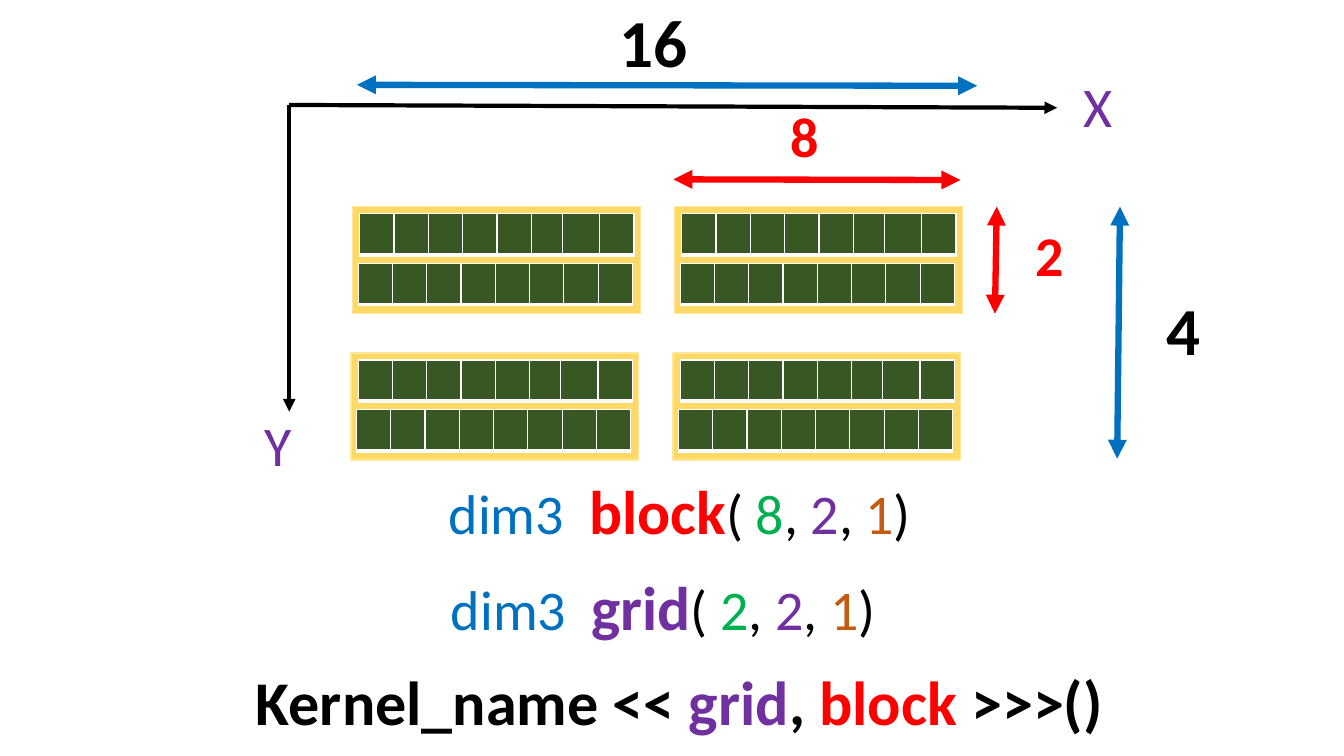
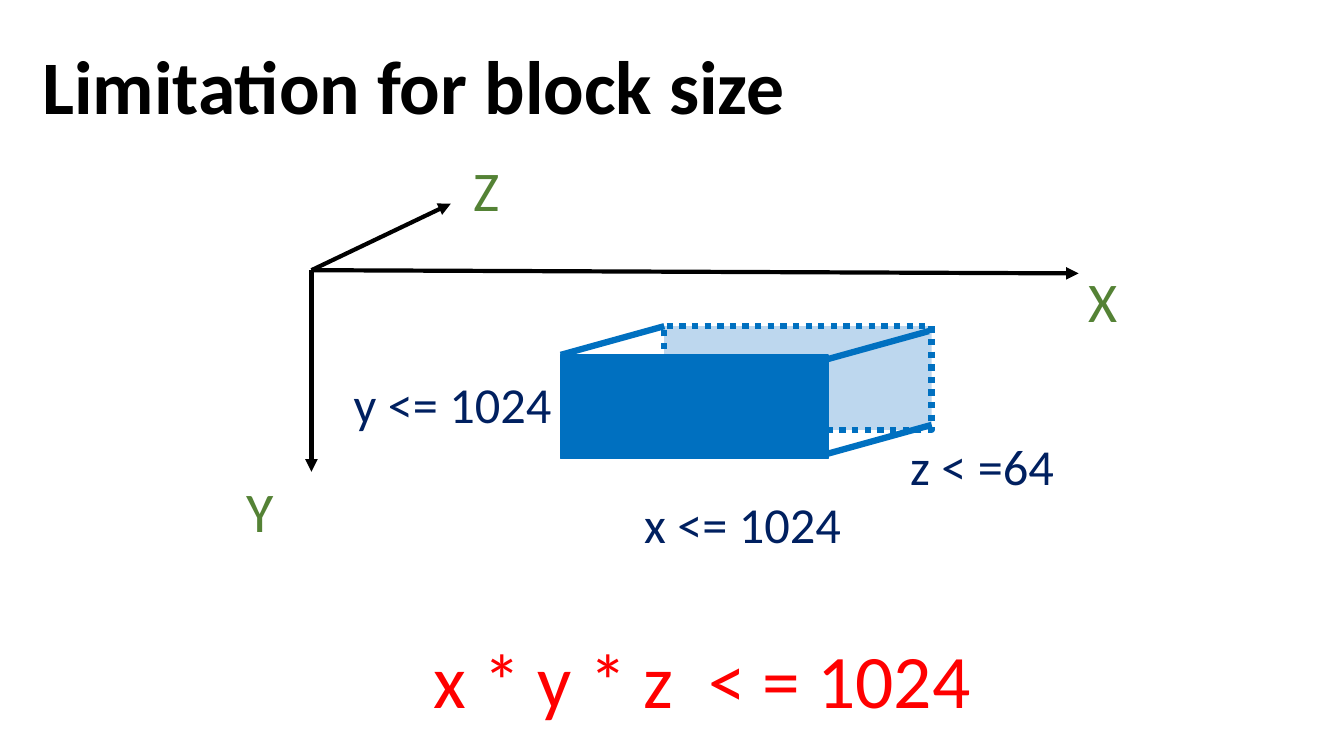
from itertools import product

from lxml.etree import SubElement
from pptx import Presentation
from pptx.dml.color import RGBColor
from pptx.enum.dml import MSO_LINE
from pptx.enum.shapes import MSO_CONNECTOR, MSO_SHAPE
from pptx.enum.text import MSO_ANCHOR, PP_ALIGN
from pptx.oxml.ns import qn
from pptx.util import Pt

FONT = "Calibri"
COLORS = {
    "black": "000000", "white": "FFFFFF", "red": "FF0000", "blue": "0070C0",
    "purple": "7030A0", "green": "00B050", "orange": "C55A11",
    "leaf": "548235", "navy": "002060", "thread": "385723",
    "block": "FFD966", "block_edge": "FFE699", "back_face": "BDD7EE",
}
TITLE_ONLY, BLANK = 5, 6
EVEN_COLUMNS = [24.5] * 8
UNEVEN_COLUMNS = [24.5] * 5 + [22.3, 26.7, 24.5]


def color(name):
    """Return the named colour."""
    return RGBColor.from_string(COLORS[name])


def write_spans(frame, spans, spacing=None, before=None):
    """Fill the first paragraph with (text, size, colour, bold) spans."""
    para = frame.paragraphs[0]
    para.alignment = PP_ALIGN.LEFT
    para.line_spacing = spacing
    if before is not None:
        para.space_before = Pt(before)
    for text, size, shade, bold in spans:
        span = para.add_run()
        span.text = text
        span.font.name = FONT
        span.font.size = Pt(size)
        span.font.bold = bold
        span.font.color.rgb = color(shade)


def add_text(page, text, left, top, width, height, size=40, shade="black",
             bold=False, spacing=None, before=None):
    """Add a text box; text is a string or a list of formatted spans."""
    box = page.shapes.add_textbox(Pt(left), Pt(top), Pt(width), Pt(height))
    box.text_frame.word_wrap = True
    spans = [(text, size, shade, bold)] if isinstance(text, str) else text
    write_spans(box.text_frame, spans, spacing, before)


def add_line(page, start, end, shade="black", width=3, head=False, tail=False):
    """Draw a straight line between two points, with optional arrowheads."""
    line = page.shapes.add_connector(
        MSO_CONNECTOR.STRAIGHT, *(Pt(value) for value in (*start, *end)))
    line.line.color.rgb = color(shade)
    line.line.width = Pt(width)
    outline = line.line._get_or_add_ln()
    for tag, wanted in (("a:headEnd", head), ("a:tailEnd", tail)):
        if wanted:
            SubElement(outline, qn(tag), type="triangle")
    SubElement(line._element.spPr, qn("a:effectLst"))


def add_measure(page, start, end, shade):
    """Draw a double-headed dimension arrow."""
    add_line(page, start, end, shade, width=4.5, head=True, tail=True)


def add_box(page, left, top, width, height, fill, edge, line_width=1, dash=None):
    """Add a filled rectangle."""
    box = page.shapes.add_shape(
        MSO_SHAPE.RECTANGLE, Pt(left), Pt(top), Pt(width), Pt(height))
    box.shadow.inherit = False
    box.fill.solid()
    box.fill.fore_color.rgb = color(fill)
    box.line.color.rgb = color(edge)
    box.line.width = Pt(line_width)
    if dash:
        box.line.dash_style = dash


def style_cell(cell):
    """Give a thread cell its fill and white borders."""
    properties = cell._tc.get_or_add_tcPr()
    for side, width in (("L", 1), ("R", 1), ("T", 1), ("B", 3)):
        border = SubElement(properties, qn(f"a:ln{side}"), w=str(Pt(width)))
        fill = SubElement(border, qn("a:solidFill"))
        SubElement(fill, qn("a:srgbClr"), val=COLORS["white"])
    cell.fill.solid()
    cell.fill.fore_color.rgb = color("thread")


def add_threads(page, left, top, columns, height=29.5):
    """Add one row of threads as a table."""
    table = page.shapes.add_table(
        1, len(columns), Pt(left), Pt(top), Pt(sum(columns)), Pt(height)).table
    table.rows[0].height = Pt(height)
    for index, width in enumerate(columns):
        table.columns[index].width = Pt(width)
        style_cell(table.cell(0, index))


def add_block(page, left, top):
    """Add a block holding two rows of threads."""
    add_box(page, left, top, 205.5, 76.5, "block", "block_edge")
    add_threads(page, left + 5, top + 5, UNEVEN_COLUMNS)
    add_threads(page, left + 3.8, top + 40.5, EVEN_COLUMNS)


def add_grid(page, left, top):
    """Add the two by two grid of blocks with its dimensions."""
    for row, column in product(range(2), repeat=2):
        add_block(page, left + 230 * column - 1.2 * row, top + 104.5 * row)
    add_measure(page, (left + 3, top - 87), (left + 446, top - 86.3), "blue")
    add_measure(page, (left + 229, top - 19.5), (left + 434, top - 19), "red")
    add_measure(page, (left + 460, top), (left + 458.7, top + 76.5), "red")
    add_measure(page, (left + 548, top), (left + 546, top + 180), "blue")
    for text, x, y, size, shade in (
            ("16", 183.5, -151.2, 48, "black"), ("4", 574.5, 54.7, 48, "black"),
            ("8", 305.5, -78.5, 40, "red"), ("2", 480.3, 6.5, 40, "red")):
        add_text(page, text, left + x, top + y, 81, 55, size, shade, bold=True)


def add_axes(page, left, top, ends, labels, shade):
    """Draw axes from an origin and label them; offsets are from the origin."""
    for x, y in ends:
        add_line(page, (left, top), (left + x, top + y), tail=True)
    for text, (x, y) in labels.items():
        add_text(page, text, left + x, top + y, 62, 55, shade=shade)


def add_declaration(page, left, top, name, shade, first):
    """Write a dim3 declaration whose y and z sizes are 2 and 1."""
    spans = [("dim3  ", 40, "blue", False), (name, 44, shade, True)]
    spans += [(text, 40, tint, False) for text, tint in (
        ("( ", "black"), (first, "green"), (", ", "black"), ("2", "purple"),
        (", ", "black"), ("1", "orange"), (")", "black"))]
    add_text(page, spans, left, top, 373, 65, spacing=0.9, before=10)


def add_launch(page, left, top):
    """Write the kernel launch line."""
    spans = [(text, 44.4, shade, True) for text, shade in (
        ("Kernel_name <<", "black"), (" grid", "purple"), (", ", "black"),
        ("block ", "red"), (">>>()", "black"))]
    add_text(page, spans, left, top, 664, 62, spacing=0.9, before=10)


def add_cuboid(page, left, top):
    """Draw a block as a cuboid and note the limit of each side."""
    width, height = 191, 74
    depth, rise = 74, -20.5
    add_box(page, left + depth, top + rise, width, height, "back_face", "blue",
            4.5, MSO_LINE.ROUND_DOT)
    add_box(page, left, top, width, height, "blue", "blue")
    for x, y in ((0, 0), (width - 2, 3.5), (width, height - 3.5)):
        add_line(page, (left + x, top + y),
                 (left + x + depth, top + y + rise), "blue", 4.5)
    for text, x, y in (("z < =64", 242.5, 54), ("x <= 1024", 52.5, 95),
                       ("y <= 1024", -155, 9.5)):
        add_text(page, text, left + x, top + y, 198, 51, 36, "navy")


def add_title(page, text, left, top, width, height):
    """Place and format the title placeholder."""
    title = page.shapes.title
    title.left, title.top = Pt(left), Pt(top)
    title.width, title.height = Pt(width), Pt(height)
    title.text_frame.vertical_anchor = MSO_ANCHOR.MIDDLE
    write_spans(title.text_frame, [(text, 54, "black", True)], spacing=0.9)


def build_grid_page(deck):
    """Build the page on grid and block dimensions."""
    page = deck.slides.add_slide(deck.slide_layouts[BLANK])
    add_axes(page, 206.6, 75, [(548.5, 2), (0, 219)],
             {"X": (560, -27.5), "Y": (-24.5, 214.5)}, "purple")
    add_grid(page, 252, 147.6)
    add_declaration(page, 313.5, 340.5, "block", "red", "8")
    add_declaration(page, 315, 408.5, "grid", "purple", "2")
    add_launch(page, 175.7, 476.6)


def build_limit_page(deck):
    """Build the page on the block size limit."""
    page = deck.slides.add_slide(deck.slide_layouts[TITLE_ONLY])
    add_title(page, "Limitation for block size", 23, 12.2, 828, 104.4)
    add_axes(page, 222.5, 193, [(548, 2.3), (99.5, -47.5), (0, 144)],
             {"X": (548, -5.8), "Z": (108.7, -85.7), "Y": (-53.3, 144)}, "leaf")
    add_cuboid(page, 400.5, 253.5)
    add_text(page, "x * y * z  < = 1024", 302.5, 448.5, 436, 73, 54, "red")


deck = Presentation()
deck.slide_width, deck.slide_height = Pt(960), Pt(540)
build_grid_page(deck)
build_limit_page(deck)
deck.save("out.pptx")
